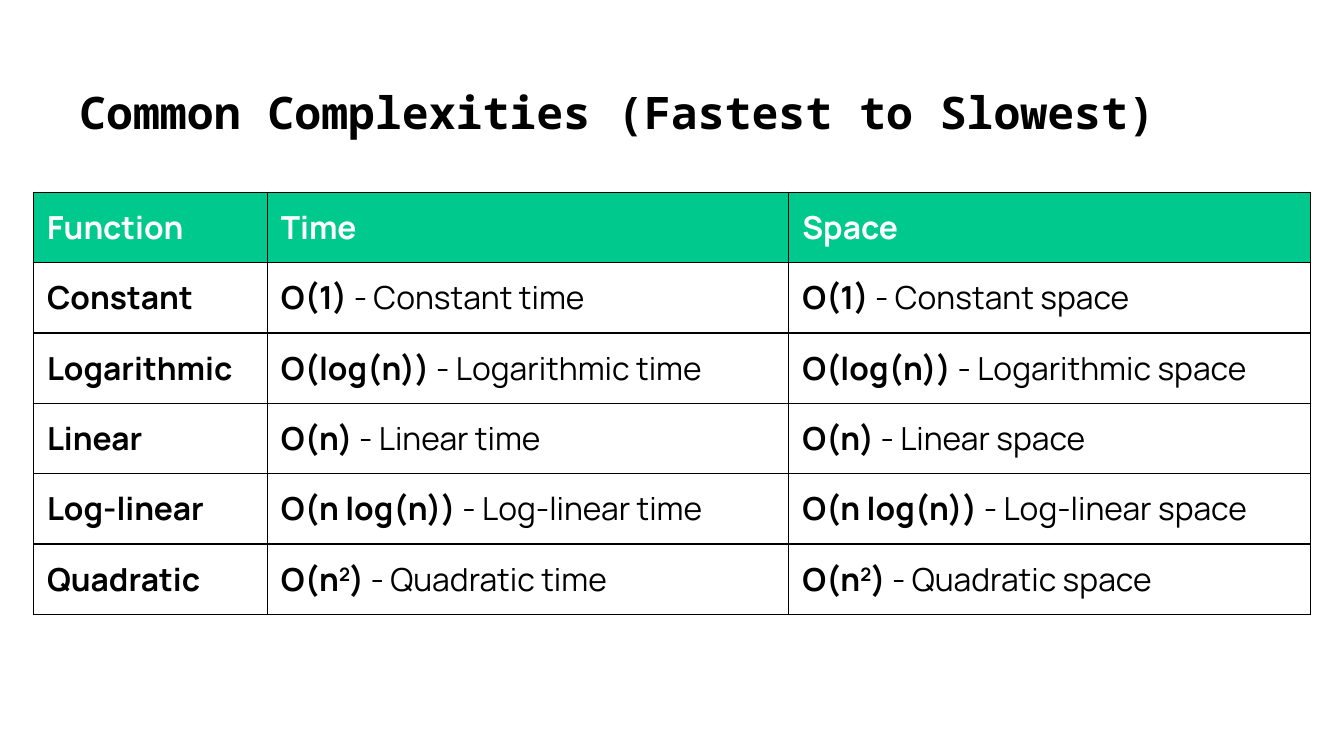
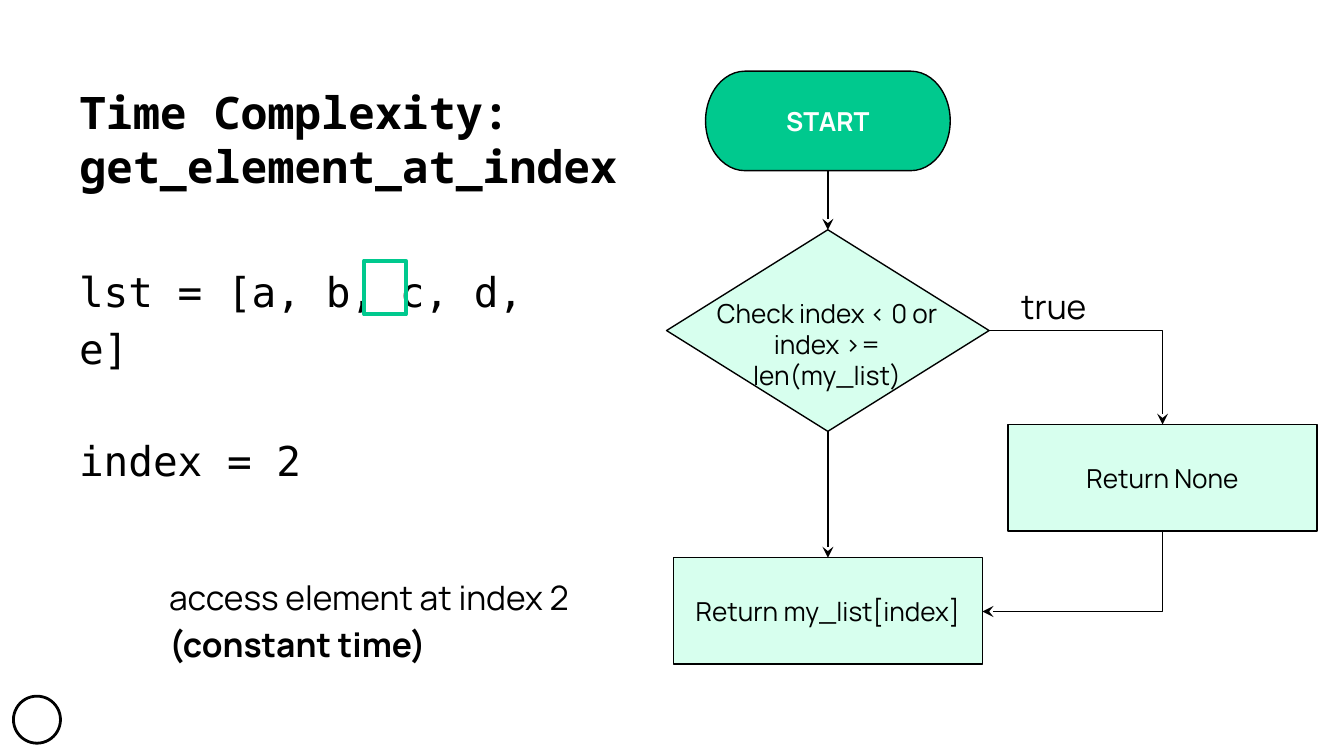
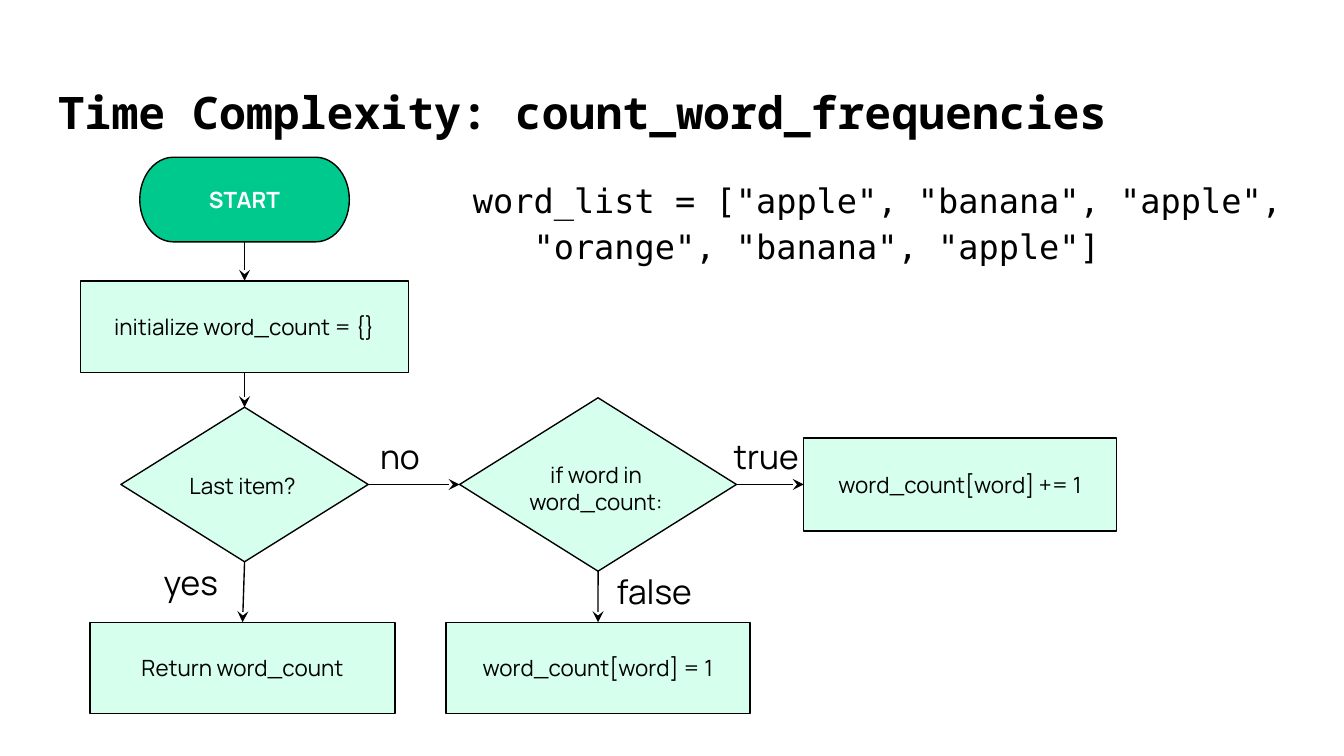
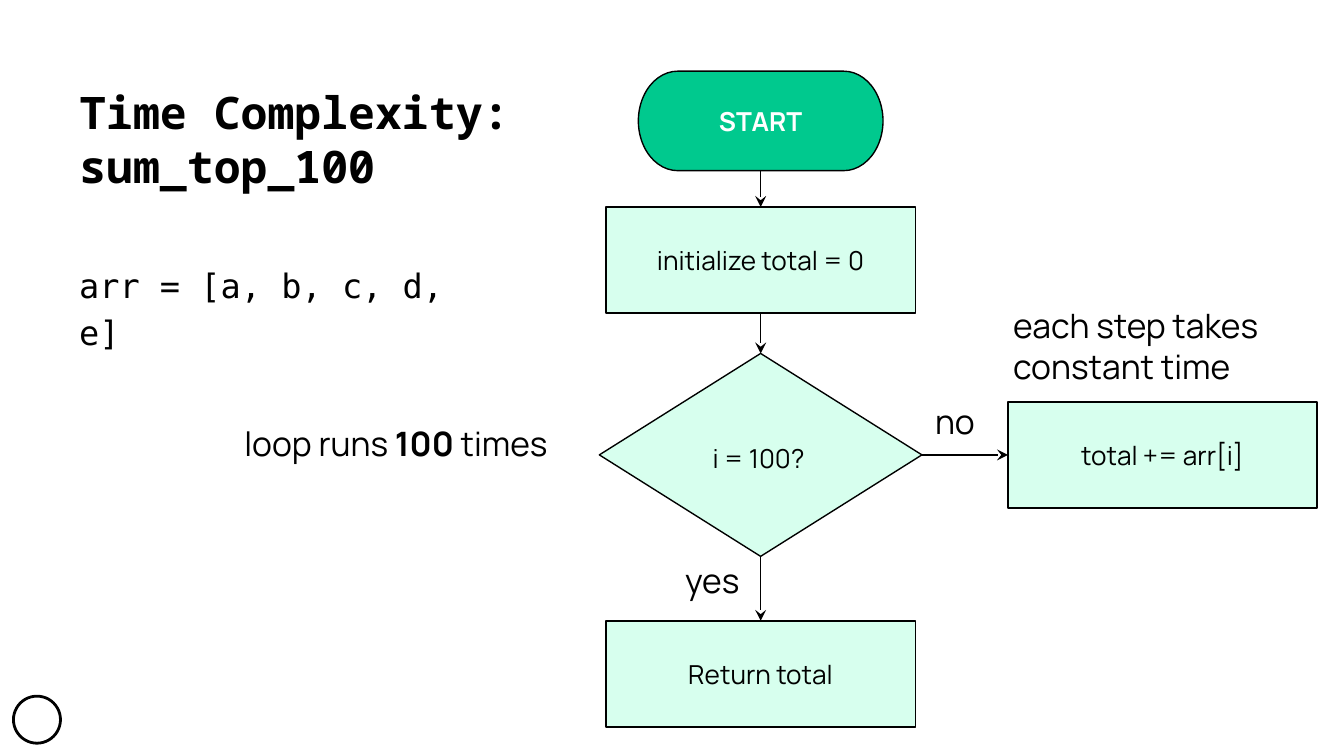
from lxml import etree
from pptx import Presentation
from pptx.dml.color import RGBColor
from pptx.enum.shapes import MSO_CONNECTOR as Line, MSO_SHAPE as Shape
from pptx.enum.text import MSO_ANCHOR as Anchor, MSO_AUTO_SIZE as Fit, PP_ALIGN as Align
from pptx.oxml.ns import qn
from pptx.util import Inches, Pt

BLACK = RGBColor(0x00, 0x00, 0x00)
WHITE = RGBColor(0xFF, 0xFF, 0xFF)
GREEN = RGBColor(0x00, 0xC9, 0x8E)
MINT = RGBColor(0xD7, 0xFF, 0xEE)
BODY, CODE, HEAD = "Manrope", "DejaVu Sans Mono", "Noto Sans Mono"
TOP, LEFT, BOTTOM, RIGHT = range(4)
PAD = Inches(0.1)


def write(para, text, size, font=BODY, color=BLACK):
    """Fill a paragraph; **...** is bold and ^...^ is raised."""
    if "**" not in text:
        para.text = text
    else:
        for i, part in enumerate(text.split("**")):
            for j, bit in enumerate(part.split("^")):
                if bit:
                    run = para.add_run()
                    run.text = bit
                    run.font.bold = i % 2 == 1
                    if j % 2:
                        run._r.get_or_add_rPr().set("baseline", "30000")
    for run in para.runs:
        run.font.size = Pt(size)
        run.font.name = font
        run.font.color.rgb = color


def set_frame(frame, anchor):
    frame.word_wrap = True
    frame.auto_size = Fit.NONE
    frame.vertical_anchor = anchor
    frame.margin_left = frame.margin_right = PAD
    frame.margin_top = frame.margin_bottom = PAD


def place(shape, box):
    shape.left, shape.top, shape.width, shape.height = map(Inches, box)


def add_slide(deck, title, box):
    slide = deck.slides.add_slide(deck.slide_layouts[5])
    head = slide.shapes.title
    place(head, box)
    set_frame(head.text_frame, Anchor.TOP)
    para = head.text_frame.paragraphs[0]
    para.alignment = Align.LEFT
    write(para, f"**{title}**", 24, HEAD)
    return slide


def add_text(slide, box, text, size=18, font=BODY, spacing=None,
             align=Align.LEFT, anchor=Anchor.TOP):
    frame = slide.shapes.add_textbox(*map(Inches, box)).text_frame
    set_frame(frame, anchor)
    para = frame.paragraphs[0]
    para.alignment = align
    if spacing:
        para.line_spacing = spacing
    write(para, text, size, font)
    return frame


def add_shape(slide, kind, box, fill=None, line=BLACK, width=0.75):
    shape = slide.shapes.add_shape(kind, *map(Inches, box))
    shape.shadow.inherit = False
    if fill is None:
        shape.fill.background()
    else:
        shape.fill.solid()
        shape.fill.fore_color.rgb = fill
    shape.line.color.rgb = line
    shape.line.width = Pt(width)
    return shape


def add_node(slide, kind, box, text, size, fill=MINT, color=BLACK):
    node = add_shape(slide, kind, box, fill)
    set_frame(node.text_frame, Anchor.MIDDLE)
    para = node.text_frame.paragraphs[0]
    para.alignment = Align.CENTER
    write(para, text, size, color=color)
    return node


def add_start(slide, box, size):
    return add_node(slide, Shape.FLOWCHART_TERMINATOR, box, "**START**", size, GREEN, WHITE)


def add_step(slide, box, text, size):
    return add_node(slide, Shape.FLOWCHART_PROCESS, box, text, size)


def add_choice(slide, box, label, text, size, anchor=Anchor.TOP):
    """Diamond whose text has its own, wider box."""
    node = add_shape(slide, Shape.FLOWCHART_DECISION, box, MINT)
    add_text(slide, label, text, size, align=Align.CENTER, anchor=anchor)
    return node


def set_arrow(link):
    link.line.color.rgb = BLACK
    link.line.width = Pt(0.75)
    tail = etree.SubElement(link.line._get_or_add_ln(), qn("a:tailEnd"))
    tail.set("type", "stealth")
    etree.SubElement(link._element.spPr, qn("a:effectLst"))


def add_link(slide, start, side, end, goal):
    link = slide.shapes.add_connector(Line.STRAIGHT, 0, 0, 0, 0)
    link.begin_connect(start, side)
    link.end_connect(end, goal)
    set_arrow(link)


def add_bend(slide, start, end, down=False):
    """One-corner arrow: right then down, or down then left."""
    (x1, y1), (x2, y2) = start, end
    if down:
        mid_x, mid_y = (x1 + x2) / 2, (y1 + y2) / 2
        half_w, half_h = abs(y2 - y1) / 2, abs(x2 - x1) / 2
        x1, x2 = mid_x - half_w, mid_x + half_w
        y1, y2 = mid_y - half_h, mid_y + half_h
    link = slide.shapes.add_connector(Line.ELBOW, *map(Inches, (x1, y1, x2, y2)))
    props = link._element.spPr
    props.find(qn("a:prstGeom")).set("prst", "bentConnector2")
    if down:
        props.find(qn("a:xfrm")).set("rot", "5400000")
    set_arrow(link)


def add_mark(slide):
    add_shape(slide, Shape.OVAL, (0.1, 5.18, 0.35, 0.35), WHITE, width=1.5)


def set_border(cell):
    props = cell._tc.get_or_add_tcPr()
    for side in ("lnL", "lnR", "lnT", "lnB"):
        edge = etree.SubElement(props, qn(f"a:{side}"), w=str(Pt(0.75)))
        fill = etree.SubElement(edge, qn("a:solidFill"))
        etree.SubElement(fill, qn("a:srgbClr"), val=str(BLACK))


def add_grid(slide, left, top, widths, height, rows):
    frame = slide.shapes.add_table(
        len(rows), len(widths), Inches(left), Inches(top),
        Inches(sum(widths)), Inches(height * len(rows)))
    table = frame.table
    table.horz_banding = False
    for col, width in zip(table.columns, widths):
        col.width = Inches(width)
    for r, row in enumerate(rows):
        table.rows[r].height = Inches(height)
        for c, text in enumerate(row):
            cell = table.cell(r, c)
            cell.margin_left = cell.margin_right = PAD
            cell.margin_top = cell.margin_bottom = PAD
            set_border(cell)
            cell.fill.solid()
            cell.fill.fore_color.rgb = WHITE if r else GREEN
            write(cell.text_frame.paragraphs[0], text, 17, color=BLACK if r else WHITE)


def show_orders(deck):
    slide = add_slide(deck, "Common Complexities (Fastest to Slowest)", (0.49, 0.53, 9.01, 0.63))
    orders = [("Constant", "1"), ("Logarithmic", "log(n)"), ("Linear", "n"),
              ("Log-linear", "n log(n)"), ("Quadratic", "n^2^")]
    rows = [["**Function**", "**Time**", "**Space**"]]
    for name, order in orders:
        rows.append([f"**{name}**"] + [f"**O({order})** - {name} {kind}" for kind in ("time", "space")])
    add_grid(slide, 0.25, 1.43, (1.74, 3.88, 3.88), 0.52, rows)


def show_index(deck):
    slide = add_slide(deck, "Time Complexity: get_element_at_index", (0.49, 0.53, 4.32, 1.01))
    start = add_start(slide, (5.25, 0.53, 1.82, 0.74), 14)
    add_step(slide, (7.5, 3.16, 2.3, 0.79), "Return None", 14)
    check = add_choice(slide, (4.96, 1.71, 2.4, 1.5), (5.1, 2.11, 2.11, 0.67),
                       "Check index < 0 or index >= len(my_list)", 14)
    found = add_step(slide, (5.01, 4.15, 2.3, 0.79), "Return my_list[index]", 14)
    add_bend(slide, (7.36, 2.46), (8.65, 3.16))
    add_bend(slide, (8.65, 3.96), (7.31, 4.55), down=True)
    add_link(slide, start, BOTTOM, check, TOP)
    add_link(slide, check, BOTTOM, found, TOP)
    add_text(slide, (7.5, 2.03, 0.79, 0.5), "true")
    code = add_text(slide, (0.49, 1.83, 3.98, 1.42), "lst = [a, b, c, d, e]", 22, CODE, 1.15)
    para = code.add_paragraph()
    para.line_spacing = 1.15
    para.space_before = Pt(30)
    write(para, "index = 2", 22, CODE)
    add_text(slide, (1.16, 4.15, 3.53, 0.85),
             "access element at index 2 **(constant time)**", spacing=1.15)
    add_shape(slide, Shape.RECTANGLE, (2.71, 1.94, 0.31, 0.4), line=GREEN, width=2.25)
    add_mark(slide)


def show_words(deck):
    slide = add_slide(deck, "Time Complexity: count_word_frequencies", (0.33, 0.53, 9.19, 0.61))
    start = add_start(slide, (1.04, 1.17, 1.56, 0.63), 12)
    init = add_step(slide, (0.6, 2.09, 2.44, 0.68), "initialize word_count = {}", 12)
    more = add_step(slide, (5.98, 3.26, 2.33, 0.69), "word_count[word] += 1", 12)
    first = add_step(slide, (3.32, 4.63, 2.26, 0.68), "word_count[word] = 1", 12)
    done = add_step(slide, (0.67, 4.63, 2.27, 0.68), "Return word_count", 12)
    known = add_choice(slide, (3.42, 2.96, 2.06, 1.29), (3.53, 3.33, 1.81, 0.58),
                       "if word in word_count:", 12)
    last = add_choice(slide, (0.9, 3.03, 1.84, 1.15), (1, 3.36, 1.61, 0.51),
                      "Last item?", 12, Anchor.MIDDLE)
    add_text(slide, (3.42, 1.19, 6.35, 0.85),
             'word_list = ["apple", "banana", "apple",\v   "orange", "banana", "apple"]',
             18, CODE, 1.15)
    for a, side, b, goal in [(start, BOTTOM, init, TOP), (init, BOTTOM, last, TOP),
                             (last, RIGHT, known, LEFT), (known, RIGHT, more, LEFT),
                             (last, BOTTOM, done, TOP), (known, BOTTOM, first, TOP)]:
        add_link(slide, a, side, b, goal)
    for text, x, y, width in [("no", 2.73, 3.14, 0.54), ("yes", 1.12, 4.08, 0.64),
                              ("true", 5.36, 3.14, 0.75), ("false", 4.49, 4.15, 0.99)]:
        add_text(slide, (x, y, width, 0.5), text)


def show_sum(deck):
    slide = add_slide(deck, "Time Complexity: sum_top_100", (0.49, 0.53, 4.32, 1.01))
    start = add_start(slide, (4.75, 0.53, 1.82, 0.74), 14)
    init = add_step(slide, (4.51, 1.54, 2.3, 0.79), "initialize total = 0", 14)
    add = add_step(slide, (7.5, 2.99, 2.3, 0.79), "total += arr[i]", 14)
    done = add_step(slide, (4.51, 4.62, 2.3, 0.79), "Return total", 14)
    check = add_choice(slide, (4.46, 2.63, 2.4, 1.51), (4.59, 3.07, 2.11, 0.67),
                       "i = 100?", 14, Anchor.MIDDLE)
    for a, side, b, goal in [(start, BOTTOM, init, TOP), (init, BOTTOM, check, TOP),
                             (check, RIGHT, add, LEFT), (check, BOTTOM, done, TOP)]:
        add_link(slide, a, side, b, goal)
    add_text(slide, (0.49, 1.83, 3.17, 0.5), "arr = [a, b, c, d, e]", 18, CODE, 1.15)
    add_text(slide, (1.72, 3.05, 2.68, 0.5), "loop runs **100** times")
    add_text(slide, (7.44, 2.17, 2.41, 0.81), "each step takes constant time")
    add_text(slide, (6.86, 2.88, 0.64, 0.5), "no")
    add_text(slide, (5, 4.07, 0.7, 0.5), "yes")
    add_mark(slide)


def main():
    deck = Presentation()
    deck.slide_width = Inches(10)
    deck.slide_height = deck.slide_width * 9 // 16
    show_orders(deck)
    show_index(deck)
    show_words(deck)
    show_sum(deck)
    deck.save("out.pptx")


if __name__ == "__main__":
    main()
